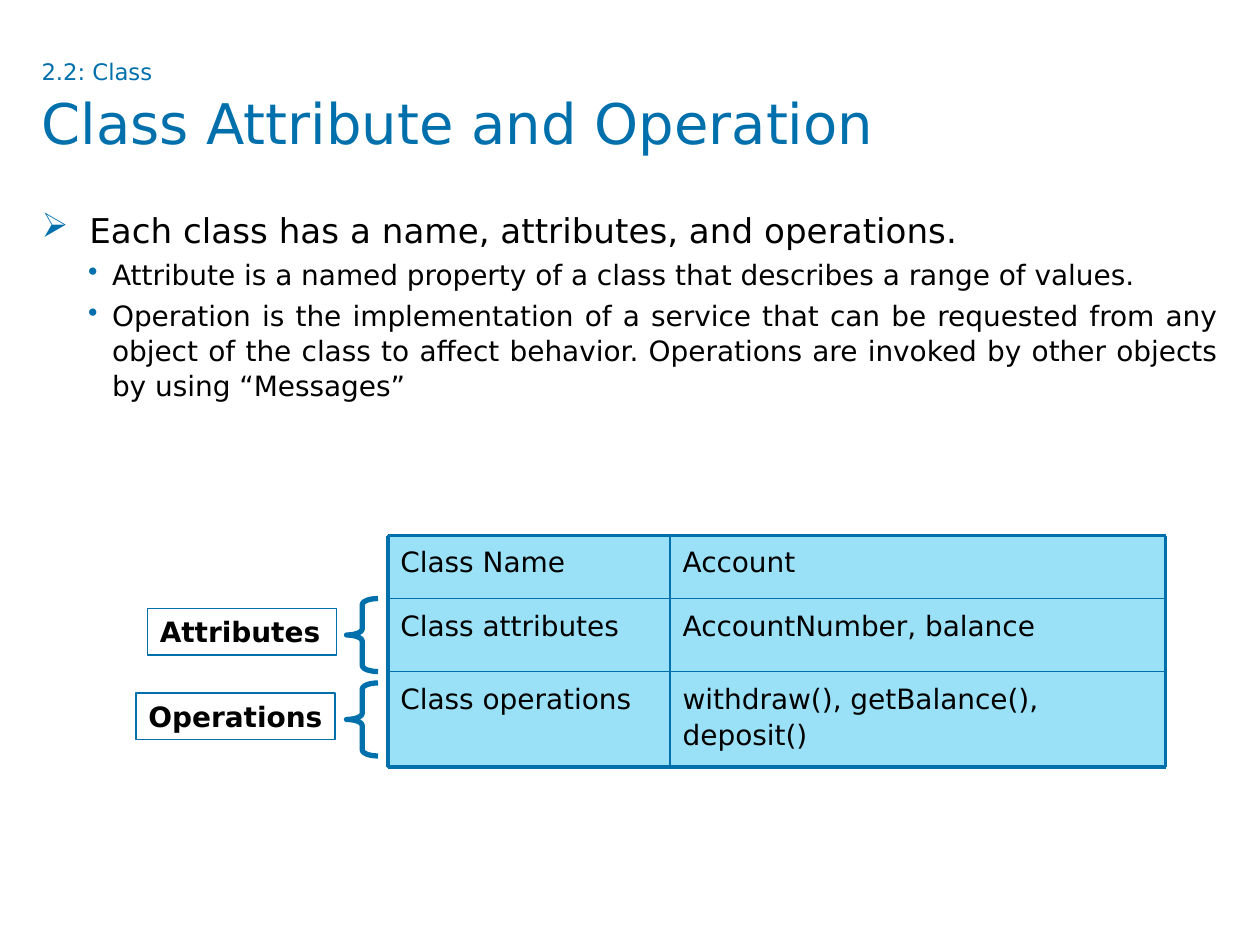
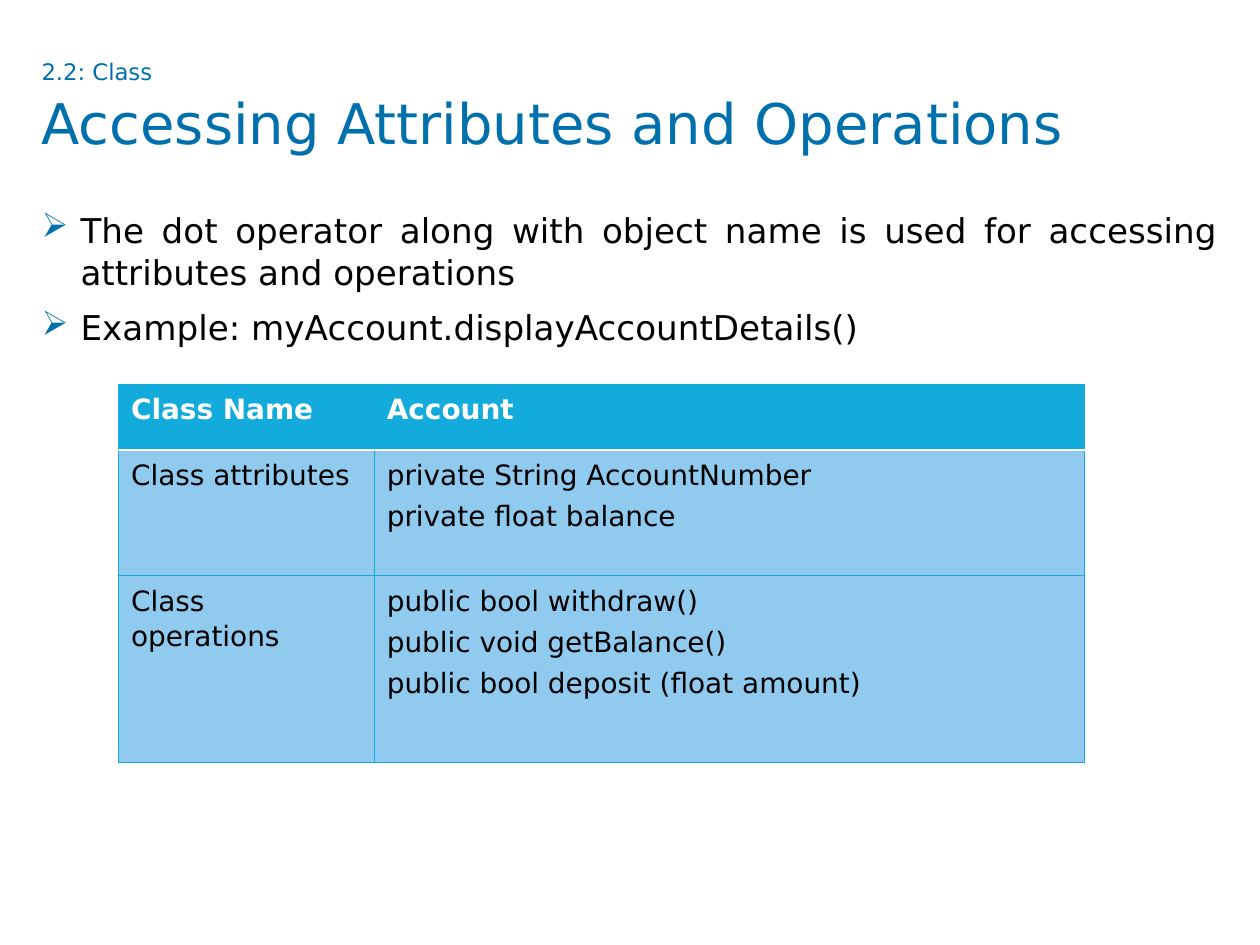
from lxml.etree import SubElement
from pptx import Presentation
from pptx.dml.color import RGBColor
from pptx.enum.shapes import MSO_CONNECTOR, MSO_SHAPE
from pptx.enum.text import MSO_ANCHOR, PP_ALIGN
from pptx.oxml.ns import qn
from pptx.util import Inches, Pt

FONT = "DejaVu Sans"
BLUE = RGBColor(0x00, 0x70, 0xAD)
CYAN = RGBColor(0x12, 0xAB, 0xDB)
PALE_CYAN = RGBColor(0x9A, 0xE1, 0xF7)
PALE_BLUE = RGBColor(0x90, 0xCB, 0xEF)
BLACK = RGBColor(0, 0, 0)
WHITE = RGBColor(255, 255, 255)

# Bullet level: character, text size, space before
LEVELS = [("➢", 19.5, 7.5), ("•", 16, 3.8)]

# Title, then bullets as (level, left margin, hanging indent, text)
PAGES = [
    ("Class Attribute and Operation", [
        (0, 0.38, 0.38, "Each class has a name, attributes, and operations."),
        (1, 0.56, 0.19, "Attribute is a named property of a class that describes a range of values."),
        (1, 0.56, 0.19, "Operation is the implementation of a service that can be requested from any "
                        "object of the class to affect behavior. Operations are invoked by other "
                        "objects by using “Messages”"),
    ]),
    ("Accessing Attributes and Operations", [
        (0, 0.31, 0.31, "The dot operator along with object name is used for accessing "
                        "attributes and operations"),
        (0, 0.31, 0.31, "Example: myAccount.displayAccountDetails()"),
    ]),
]


def write(frame, lines, size=16, color=BLACK, bold=False, spacing=1.1, before=0):
    """Fill a text frame with one left-aligned paragraph per line."""
    frame.word_wrap = True
    frame.vertical_anchor = MSO_ANCHOR.TOP
    frame.text = "\n".join(lines)
    for para in frame.paragraphs:
        para.alignment = PP_ALIGN.LEFT
        para.line_spacing = spacing
        para.space_before = Pt(before)
        for span in para.runs:
            span.font.name = FONT
            span.font.size = Pt(size)
            span.font.bold = bold
            span.font.color.rgb = color


def add_outlined(page, kind, left, top, width, height, weight, fill=None):
    shape = page.shapes.add_shape(kind, Inches(left), Inches(top), Inches(width), Inches(height))
    shape.shadow.inherit = False
    shape.line.color.rgb = BLUE
    shape.line.width = Pt(weight)
    if fill is None:
        shape.fill.background()
    else:
        shape.fill.solid()
        shape.fill.fore_color.rgb = fill
    return shape


deck = Presentation()
deck.slide_width = Inches(10)
deck.slide_height = Inches(7.5)

# Title and bullets of both slides
for title, bullets in PAGES:
    page = deck.slides.add_slide(deck.slide_layouts[6])
    title_box = page.shapes.add_textbox(Inches(0.33), Inches(0.45), Inches(9.33), Inches(0.94))
    body_box = page.shapes.add_textbox(Inches(0.33), Inches(1.65), Inches(9.34), Inches(5.06))
    for box in (title_box, body_box):
        frame = box.text_frame
        frame.margin_left = frame.margin_top = frame.margin_right = frame.margin_bottom = 0

    write(title_box.text_frame, ["2.2: Class", title], size=32, color=BLUE, spacing=1.05)
    title_box.text_frame.paragraphs[0].runs[0].font.size = Pt(13)

    write(body_box.text_frame, [text for *_, text in bullets], spacing=1.03)
    for para, (level, margin, hanging, _) in zip(body_box.text_frame.paragraphs, bullets):
        character, size, before = LEVELS[level]
        para.level = level
        para.alignment = PP_ALIGN.JUSTIFY
        para.space_before = Pt(before)
        para.runs[0].font.size = Pt(size)
        properties = para._p.get_or_add_pPr()
        properties.set("marL", str(Inches(margin)))
        properties.set("indent", str(-Inches(hanging)))
        bullet_color = SubElement(properties, qn("a:buClr"))
        SubElement(bullet_color, qn("a:srgbClr"), val=str(BLUE))
        SubElement(properties, qn("a:buChar"), char=character)

# Slide 1: class diagram with labelled braces
page = deck.slides[0]
column_edges = [3.08, 5.32, 9.25]
row_edges = [4.25, 4.75, 5.33, 6.09]
class_rows = [
    ("Class Name", "Account"),
    ("Class attributes", "AccountNumber, balance"),
    ("Class operations", "withdraw(), getBalance(), deposit()"),
]
for row, texts in enumerate(class_rows):
    top, bottom = row_edges[row:row + 2]
    for column, text in enumerate(texts):
        left, right = column_edges[column:column + 2]
        cell_box = add_outlined(page, MSO_SHAPE.RECTANGLE, left, top,
                                right - left, bottom - top, 0.75, PALE_CYAN)
        write(cell_box.text_frame, [text])

grid_lines = [(column_edges[0], y, column_edges[-1], y, y in (row_edges[0], row_edges[-1]))
              for y in row_edges]
grid_lines += [(x, row_edges[0], x, row_edges[-1], x in (column_edges[0], column_edges[-1]))
               for x in column_edges]
for x1, y1, x2, y2, outer in grid_lines:
    line = page.shapes.add_connector(MSO_CONNECTOR.STRAIGHT, Inches(x1), Inches(y1),
                                     Inches(x2), Inches(y2))
    line.line.color.rgb = BLUE
    line.line.width = Pt(2.25 if outer else 1)
    SubElement(line._element.spPr, qn("a:effectLst"))

for label, left, width, brace_top in [("Attributes", 1.17, 1.5, 4.75),
                                      ("Operations", 1.08, 1.58, 5.42)]:
    label_box = add_outlined(page, MSO_SHAPE.RECTANGLE, left, brace_top + 0.08, width, 0.37, 0.75)
    write(label_box.text_frame, [label], bold=True, spacing=1.0)
    label_box.text_frame.margin_right = 0
    brace = add_outlined(page, MSO_SHAPE.LEFT_BRACE, 2.75, brace_top, 0.25, 0.58, 3)
    brace.adjustments[0] = 0.194

# Slide 2: table of class members
page = deck.slides[1]
member_rows = [
    (0.52, ["Class Name"], ["Account"]),
    (1.0, ["Class attributes"], ["private String AccountNumber", "private float balance"]),
    (1.48, ["Class operations"], ["public bool withdraw()", "public void getBalance()",
                                  "public bool deposit (float amount)"]),
]
table = page.shapes.add_table(3, 2, Inches(0.94), Inches(3.05), Inches(7.67), Inches(3)).table
for column, width in enumerate([2.03, 5.64]):
    table.columns[column].width = Inches(width)
for row, (height, *contents) in enumerate(member_rows):
    table.rows[row].height = Inches(height)
    header = row == 0
    for column, lines in enumerate(contents):
        cell = table.cell(row, column)
        write(cell.text_frame, lines, color=WHITE if header else BLACK, bold=header, before=3.2)
        properties = cell._tc.get_or_add_tcPr()
        for side in ("lnL", "lnR", "lnT", "lnB"):
            under_header = (row, side) in ((0, "lnB"), (1, "lnT"))
            border = SubElement(properties, qn("a:" + side), w=str(Pt(1 if under_header else 0.5)))
            border_fill = SubElement(border, qn("a:solidFill"))
            SubElement(border_fill, qn("a:srgbClr"), val=str(WHITE if under_header else CYAN))
        cell.fill.solid()
        cell.fill.fore_color.rgb = CYAN if header else PALE_BLUE

deck.save("out.pptx")
